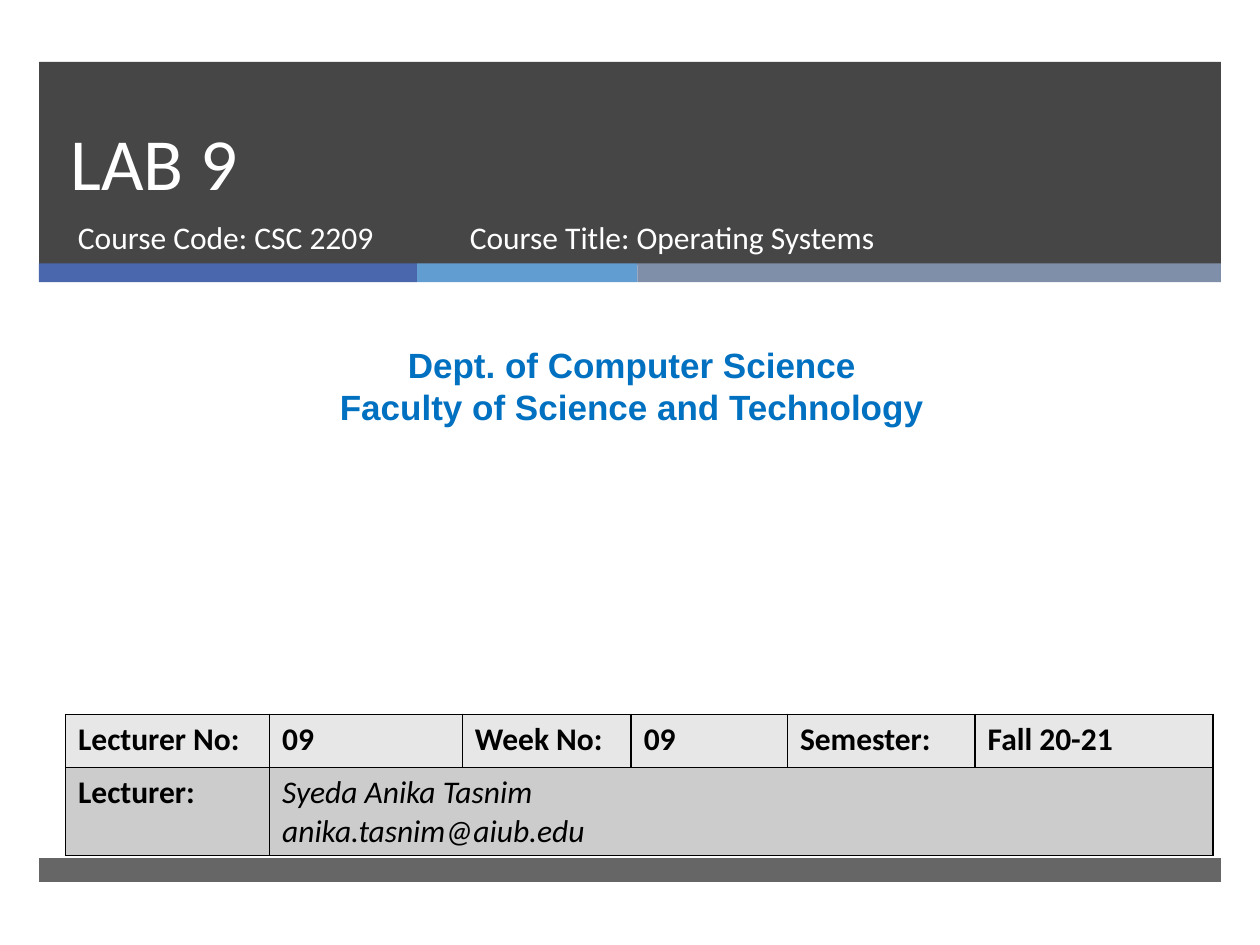
from lxml.etree import SubElement
from pptx import Presentation
from pptx.dml.color import RGBColor
from pptx.enum.shapes import MSO_SHAPE
from pptx.enum.text import MSO_ANCHOR, PP_ALIGN
from pptx.oxml.ns import qn
from pptx.util import Inches, Pt

bars = [
    (0.31, 0.49, 9.38, 1.61, "262626", 85),
    (0.31, 2.09, 3, 0.15, "4A66AC", 100),
    (3.31, 2.09, 1.75, 0.15, "629DD1", 100),
    (5.06, 2.09, 4.63, 0.15, "7F8FA9", 100),
    (0.31, 6.81, 9.38, 0.19, "262626", 70),
]
white = {"font": "Calibri", "color": "FFFFFF"}
texts = [
    ((0.46, 0.49, 8.54, 1.19), ["LAB 9"],
     {**white, "size": 42, "lead": 46, "anchor": MSO_ANCHOR.BOTTOM}),
    ((0.52, 1.68, 3.05, 0.53), ["Course Code: CSC 2209"], white),
    ((0.08, 2.68, 9.87, 0.77),
     ["Dept. of Computer Science", "Faculty of Science and Technology"],
     {"font": "Arial", "size": 20, "color": "0070C0", "bold": True,
      "align": PP_ALIGN.CENTER}),
    ((3.63, 1.68, 4.55, 0.53), ["Course Title: Operating Systems"], white),
]
cols = [1.62, 1.53, 1.34, 1.24, 1.49, 1.89]
rows = [
    (0.42, "E7E7E7", [["Lecturer No:"], ["09"], ["Week No:"], ["09"],
                      ["Semester:"], ["Fall 20-21"]]),
    (0.7, "CCCCCC", [["Lecturer:"],
                     ["Syeda Anika Tasnim", "anika.tasnim@aiub.edu"]]),
]


def paint(fill, color):
    fill.solid()
    fill.fore_color.rgb = RGBColor.from_string(color)


def write(frame, lines, font="Calibri", size=18, color="000000", bold=False,
          slant=False, align=PP_ALIGN.LEFT, lead=None, anchor=MSO_ANCHOR.TOP):
    frame.word_wrap = True
    frame.vertical_anchor = anchor
    for i, line in enumerate(lines):
        para = frame.add_paragraph() if i else frame.paragraphs[0]
        para.alignment = align
        if lead:
            para.line_spacing = Pt(lead)
        run = para.add_run()
        run.text = line
        run.font.name = font
        run.font.size = Pt(size)
        run.font.bold = bold
        run.font.italic = slant
        run.font.color.rgb = RGBColor.from_string(color)


def border(cell):
    props = cell._tc.get_or_add_tcPr()
    for i, side in enumerate(("lnL", "lnR", "lnT", "lnB")):
        line = props.makeelement(qn("a:" + side), {"w": str(Pt(1))})
        fill = SubElement(line, qn("a:solidFill"))
        SubElement(fill, qn("a:srgbClr"), val="000000")
        props.insert(i, line)


deck = Presentation()
deck.slide_width, deck.slide_height = Inches(10), Inches(7.5)
slide = deck.slides.add_slide(deck.slide_layouts[6])
shapes = slide.shapes

for *box, color, alpha in bars:
    bar = shapes.add_shape(MSO_SHAPE.RECTANGLE, *map(Inches, box))
    bar.shadow.inherit = False
    bar.line.fill.background()
    paint(bar.fill, color)
    if alpha < 100:
        tone = bar._element.spPr.find(".//" + qn("a:srgbClr"))
        SubElement(tone, qn("a:alpha"), val=str(alpha * 1000))

for box, lines, style in texts:
    write(shapes.add_textbox(*map(Inches, box)).text_frame, lines, **style)

high = sum(row[0] for row in rows)
table = shapes.add_table(len(rows), len(cols), Inches(0.52), Inches(5.67),
                         Inches(sum(cols)), Inches(high)).table
for col, width in zip(table.columns, cols):
    col.width = Inches(width)
for r, (height, color, cells) in enumerate(rows):
    table.rows[r].height = Inches(height)
    for c in range(len(cols)):
        cell = table.cell(r, c)
        paint(cell.fill, color)
        border(cell)
        if c < len(cells):
            slant = len(cells[c]) > 1
            write(cell.text_frame, cells[c], bold=not slant, slant=slant)
table.cell(1, 1).merge(table.cell(1, 5))

deck.save("out.pptx")
